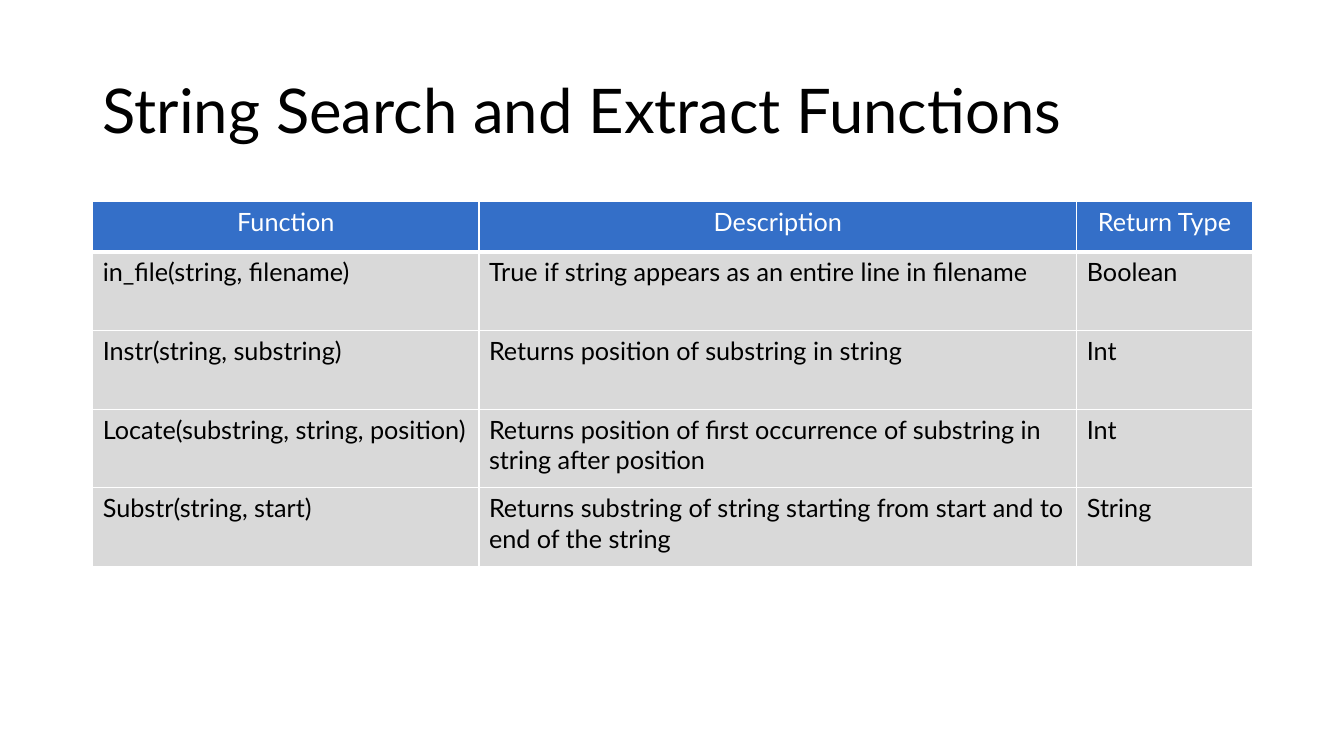
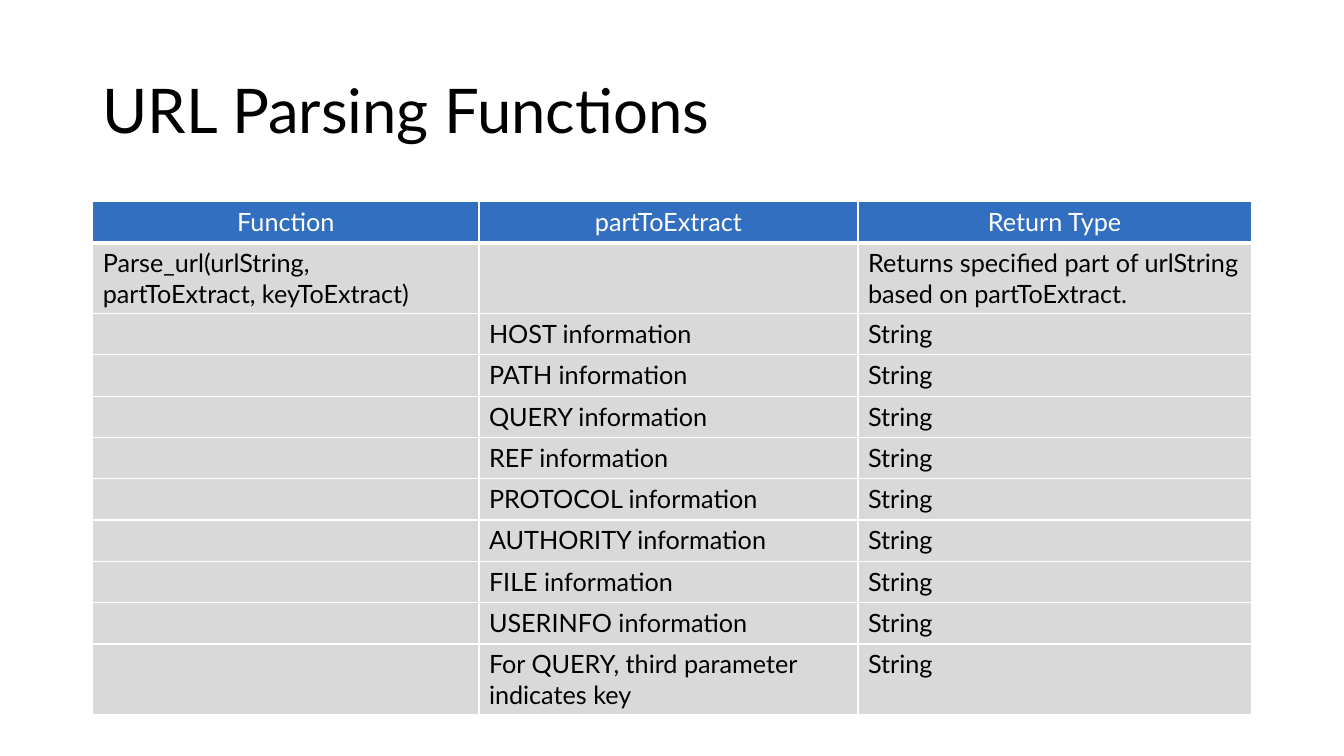
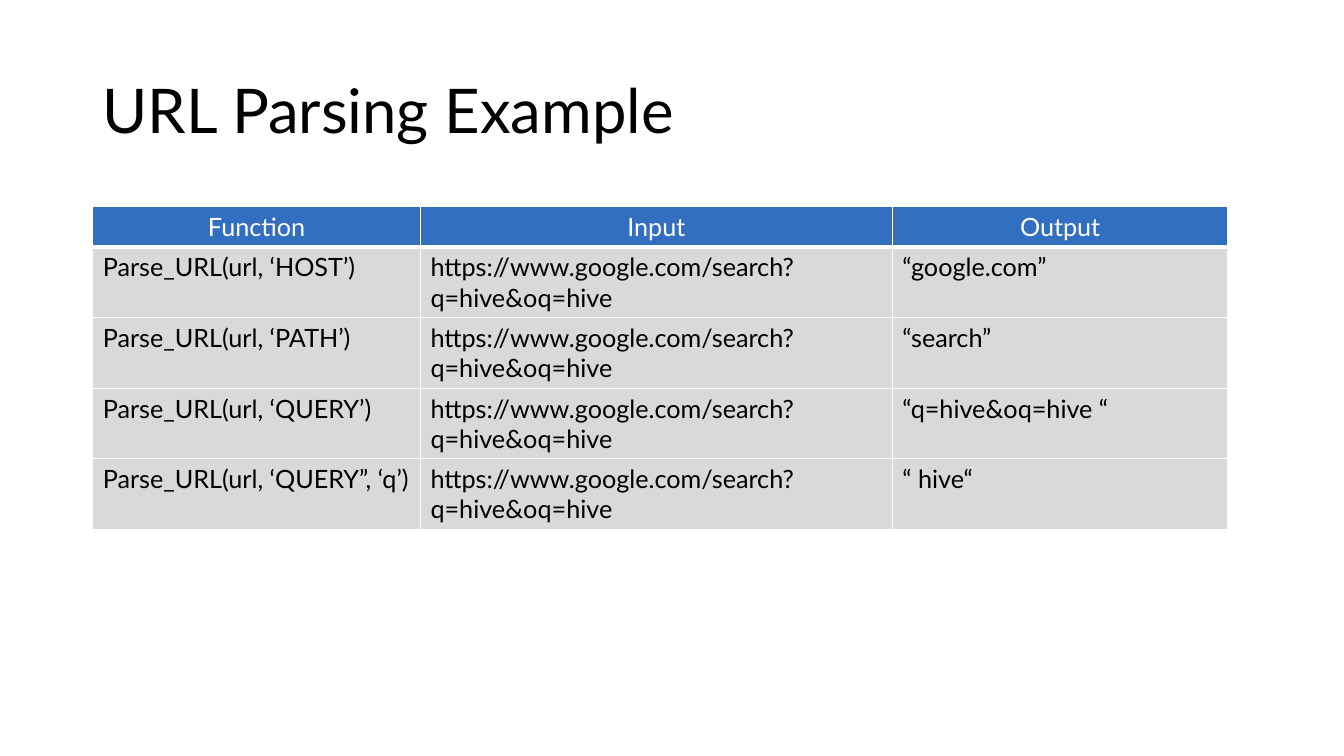
from dataclasses import dataclass

from lxml import etree
from pptx import Presentation
from pptx.dml.color import RGBColor
from pptx.enum.text import MSO_ANCHOR, PP_ALIGN
from pptx.oxml.ns import qn
from pptx.util import Inches, Pt

MIDDLE = MSO_ANCHOR.MIDDLE
LEFT, CENTER = PP_ALIGN.LEFT, PP_ALIGN.CENTER

BLACK = RGBColor(0x00, 0x00, 0x00)
WHITE = RGBColor(0xFF, 0xFF, 0xFF)
GRAY = RGBColor(0xD9, 0xD9, 0xD9)
BLUE = RGBColor(0x33, 0x6F, 0xC0)
BRIGHT_BLUE = RGBColor(0x34, 0x6F, 0xC8)

FONT = "Lato"
TITLE_SIZE, TABLE_SIZE = 44, 18
THIN, THICK = 1, 3

SLIDE_WIDTH, SLIDE_HEIGHT = 13.33, 7.5
MARGIN = 0.92
TITLE_TOP, TITLE_WIDTH, TITLE_HEIGHT = 0.4, 11.5, 1.45
BLANK_LAYOUT = 6

SAMPLE_URL = "https://www.google.com/search?q=hive&oq=hive"
URL_PARTS = ("HOST", "PATH", "QUERY", "REF", "PROTOCOL", "AUTHORITY", "FILE", "USERINFO")


@dataclass(frozen=True)
class TableSlide:
    """A titled table; lengths are in inches and the first row is the header."""

    title: str
    top: float
    columns: tuple[float, ...]
    header_height: float
    body_height: float
    header_fill: RGBColor
    rows: list[tuple[str, ...]]


SLIDES = [
    TableSlide(
        "String Search and Extract Functions", 2, (3.83, 5.93, 1.74), 0.5, 0.78, BRIGHT_BLUE,
        [
            ("Function", "Description", "Return Type"),
            ("in_file(string, filename)",
             "True if string appears as an entire line in filename", "Boolean"),
            ("Instr(string, substring)", "Returns position of substring in string", "Int"),
            ("Locate(substring, string, position)",
             "Returns position of first occurrence of substring in string after position", "Int"),
            ("Substr(string, start)",
             "Returns substring of string starting from start and to end of the string", "String"),
        ],
    ),
    TableSlide(
        "URL Parsing Functions", 2, (3.83, 3.76, 3.9), 0.41, 0.41, BLUE,
        [
            ("Function", "partToExtract", "Return Type"),
            ("Parse_url(urlString, partToExtract, keyToExtract)", "",
             "Returns specified part of urlString based on partToExtract."),
            *(("", f"{part} information", "String") for part in URL_PARTS),
            ("", "For QUERY, third parameter indicates key", "String"),
        ],
    ),
    TableSlide(
        "URL Parsing Example", 2.05, (3.25, 4.68, 3.33), 0.37, 0.37, BLUE,
        [
            ("Function", "Input", "Output"),
            ("Parse_URL(url, ‘HOST’)", SAMPLE_URL, "“google.com”"),
            ("Parse_URL(url, ‘PATH’)", SAMPLE_URL, "“search”"),
            ("Parse_URL(url, ‘QUERY’)", SAMPLE_URL, "“q=hive&oq=hive “"),
            ("Parse_URL(url, ‘QUERY”, ‘q’)", SAMPLE_URL, "“ hive“"),
        ],
    ),
]


def format_runs(paragraph, size: int, color: RGBColor) -> None:
    for run in paragraph.runs:
        run.font.name = FONT
        run.font.size = Pt(size)
        run.font.bold = False
        run.font.color.rgb = color


def add_title(slide, title: str) -> None:
    frame = slide.shapes.add_textbox(
        Inches(MARGIN), Inches(TITLE_TOP), Inches(TITLE_WIDTH), Inches(TITLE_HEIGHT)
    ).text_frame
    frame.word_wrap = True
    frame.vertical_anchor = MIDDLE
    frame.text = title
    frame.paragraphs[0].line_spacing = 0.9
    format_runs(frame.paragraphs[0], TITLE_SIZE, BLACK)


def set_borders(cell, top: int, bottom: int) -> None:
    """Draw white cell borders; call before the fill, which must follow them."""
    properties = cell._tc.get_or_add_tcPr()
    for side, width in (("L", THIN), ("R", THIN), ("T", top), ("B", bottom)):
        line = etree.SubElement(properties, qn(f"a:ln{side}"), w=str(Pt(width)))
        fill = etree.SubElement(line, qn("a:solidFill"))
        etree.SubElement(fill, qn("a:srgbClr"), val=str(WHITE))


def fill_cell(cell, text: str, row: int, header_fill: RGBColor) -> None:
    is_header = row == 0
    set_borders(cell, THICK if row == 1 else THIN, THICK if is_header else THIN)
    cell.fill.solid()
    cell.fill.fore_color.rgb = header_fill if is_header else GRAY
    cell.text_frame.text = text
    paragraph = cell.text_frame.paragraphs[0]
    paragraph.alignment = CENTER if is_header else LEFT
    format_runs(paragraph, TABLE_SIZE, WHITE if is_header else BLACK)


def add_function_table(slide, content: TableSlide) -> None:
    body_count = len(content.rows) - 1
    height = content.header_height + body_count * content.body_height
    table = slide.shapes.add_table(
        len(content.rows), len(content.columns),
        Inches(MARGIN), Inches(content.top), Inches(sum(content.columns)), Inches(height),
    ).table
    table.horz_banding = False
    for column, width in zip(table.columns, content.columns):
        column.width = Inches(width)
    for row, texts in enumerate(content.rows):
        table.rows[row].height = Inches(content.body_height if row else content.header_height)
        for column, text in enumerate(texts):
            fill_cell(table.cell(row, column), text, row, content.header_fill)


def main() -> None:
    deck = Presentation()
    deck.slide_width = Inches(SLIDE_WIDTH)
    deck.slide_height = Inches(SLIDE_HEIGHT)
    for content in SLIDES:
        slide = deck.slides.add_slide(deck.slide_layouts[BLANK_LAYOUT])
        add_title(slide, content.title)
        add_function_table(slide, content)
    deck.save("out.pptx")


if __name__ == "__main__":
    main()
